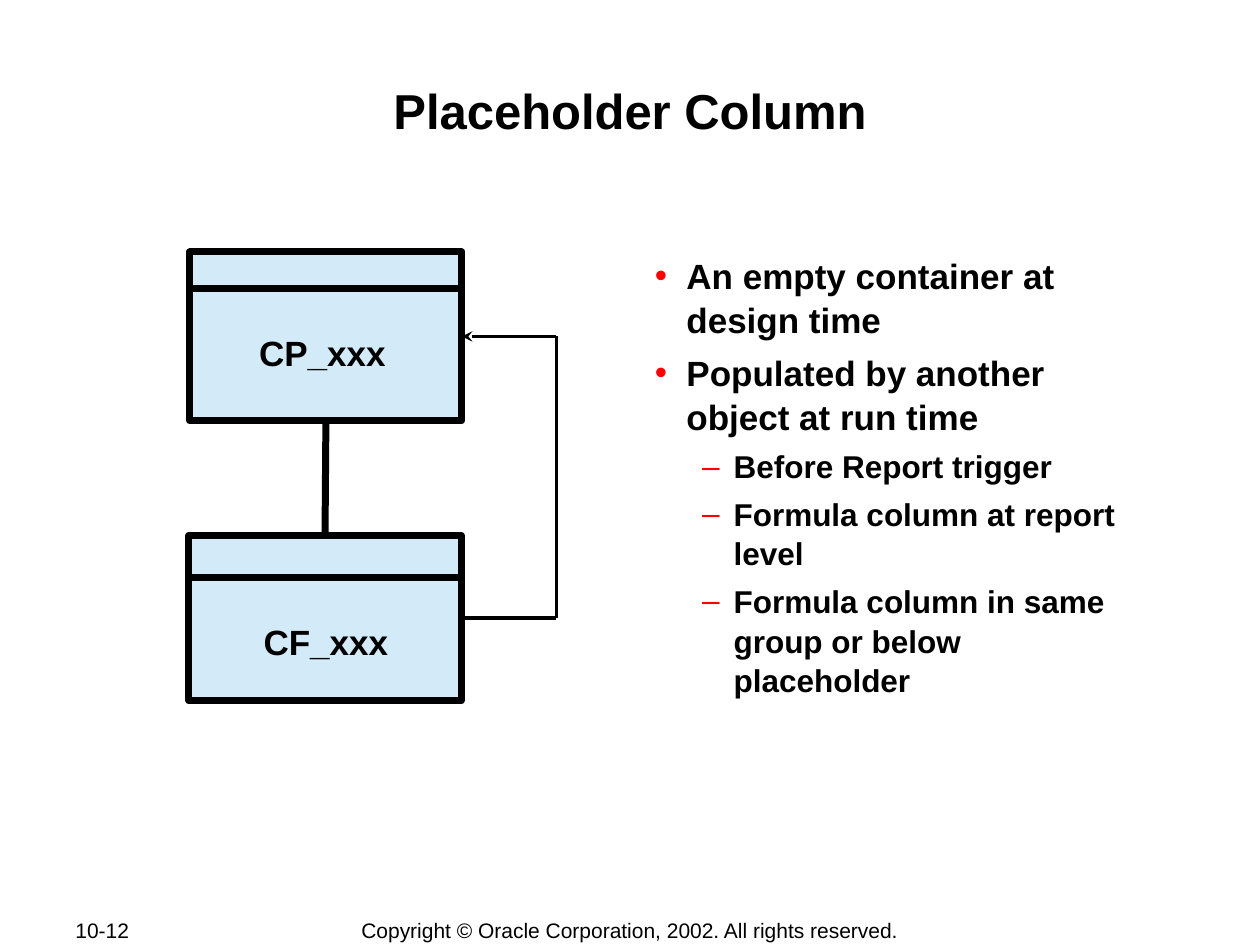
from pptx import Presentation
from pptx.dml.color import RGBColor
from pptx.enum.shapes import MSO_CONNECTOR as Connector, MSO_SHAPE as Shape
from pptx.enum.text import MSO_ANCHOR as Anchor, PP_ALIGN as Align
from pptx.oxml.ns import qn
from pptx.util import Pt
from lxml.etree import SubElement

BLACK, PALE_BLUE, RED = "000000", "D3EAF8", "FF0000"
BULLETS = [
    (0, "An empty container at\vdesign time"),
    (0, "Populated by another object at run time"),
    (1, "Before Report trigger"),
    (1, "Formula column at report level"),
    (1, "Formula column in same group or below placeholder"),
]
LEVELS = [
    {"char": "•", "indent": 27, "before": 5, "size": 20},
    {"char": "–", "indent": 54, "before": 4.5, "size": 18},
]


def color(value):
    """Turn a hex string into a colour."""
    return RGBColor.from_string(value)


def add_frame(slide, left, top, width, height, margins, anchor=Anchor.TOP):
    """Add a wrapping text box and return its text frame."""
    box = slide.shapes.add_textbox(Pt(left), Pt(top), Pt(width), Pt(height))
    frame = box.text_frame
    formats = dict(zip(("margin_left", "margin_top", "margin_right", "margin_bottom"),
                       map(Pt, margins)))
    formats.update(word_wrap=True, vertical_anchor=anchor)
    for name, value in formats.items():
        setattr(frame, name, value)
    return frame


def write(para, text, size, bold=True, align=Align.LEFT):
    """Write text in a paragraph and format its runs."""
    para.text = text
    para.alignment = align
    for span in para.runs:
        formats = {"name": "Arial", "size": Pt(size), "bold": bold}
        for name, value in formats.items():
            setattr(span.font, name, value)
        span.font.color.rgb = color(BLACK)


def add_label(slide, text, place, size, bold=True, align=Align.CENTER):
    """Add a one-line label centred vertically in its box."""
    frame = add_frame(slide, *place, (7.2, 3.6, 7.2, 3.6), Anchor.MIDDLE)
    write(frame.paragraphs[0], text, size, bold, align)


def add_bullets(slide, items, place):
    """Add a bulleted list with two levels."""
    frame = add_frame(slide, *place, (0.7, 0.7, 0.7, 0.7))
    for number, (depth, text) in enumerate(items):
        para = frame.add_paragraph() if number else frame.paragraphs[0]
        level = LEVELS[depth]
        properties = para._p.get_or_add_pPr()
        properties.set("marL", str(Pt(level["indent"])))
        properties.set("indent", str(Pt(-18)))
        bullet_color = SubElement(properties, qn("a:buClr"))
        SubElement(bullet_color, qn("a:srgbClr"), val=RED)
        SubElement(properties, qn("a:buFont"), typeface="Arial")
        SubElement(properties, qn("a:buChar"), char=level["char"])
        formats = {"level": depth, "line_spacing": 1.05,
                   "space_before": Pt(level["before"] if number else 0)}
        for name, value in formats.items():
            setattr(para, name, value)
        write(para, text, level["size"])


def add_line(slide, start, end, width, arrow=False):
    """Add a straight black line, with an arrowhead at its start if asked."""
    line = slide.shapes.add_connector(Connector.STRAIGHT, *map(Pt, start + end))
    line.line.width = Pt(width)
    line.line.color.rgb = color(BLACK)
    properties = line._element.spPr
    SubElement(properties, qn("a:effectLst"))
    if arrow:
        SubElement(properties.find(qn("a:ln")), qn("a:headEnd"), type="stealth")
    return line


def add_column_box(slide, text, place, header, label_place):
    """Add a column box with a header rule and a name."""
    left, top, width, height = place
    box = slide.shapes.add_shape(Shape.RECTANGLE, *map(Pt, place))
    box.shadow.inherit = False
    box.fill.solid()
    box.fill.fore_color.rgb = color(PALE_BLUE)
    box.line.color.rgb = color(BLACK)
    box.line.width = Pt(4)
    add_line(slide, (left, top + header), (left + width, top + header), 4)
    add_label(slide, text, label_place, 20)
    return box


def add_side_link(slide, source, target, corner):
    """Link the right sides of two boxes, pointing at the target."""
    levels = []
    for box, arrow in ((source, False), (target, True)):
        side = box.left.pt + box.width.pt
        middle = box.top.pt + box.height.pt / 2
        line = add_line(slide, (side, middle), (corner, middle), 2, arrow)
        line.begin_connect(box, 3)
        levels.append(middle)
    add_line(slide, (corner, levels[1]), (corner, levels[0]), 2)


def main():
    """Build the slide and save it."""
    deck = Presentation()
    deck.slide_width, deck.slide_height = Pt(720), Pt(540)
    page = deck.slides.add_slide(deck.slide_layouts[6])

    add_label(page, "10-12", (36, 524, 76, 15), 12, False, Align.LEFT)
    add_label(page, "Copyright © Oracle Corporation, 2002. All rights reserved.",
              (198, 524, 324, 15), 12, False)
    title = add_frame(page, 72, 42, 576, 69, (0.7, 4, 0.7, 0.7))
    write(title.paragraphs[0], "Placeholder Column", 28, align=Align.CENTER)
    add_bullets(page, BULLETS, (364.5, 143.5, 283.5, 246))

    placeholder = add_column_box(page, "CP_xxx", (108.5, 144, 155.5, 96.5), 21,
                                 (113, 187, 142.5, 29))
    formula = add_column_box(page, "CF_xxx", (108, 306, 155.5, 94.5), 24,
                             (115, 352, 142.5, 29))
    stem = add_line(page, (187, 240.5), (187, 306), 4)
    stem.begin_connect(placeholder, 2)
    stem.end_connect(formula, 0)
    add_side_link(page, formula, placeholder, 318)

    deck.save("out.pptx")


if __name__ == "__main__":
    main()
